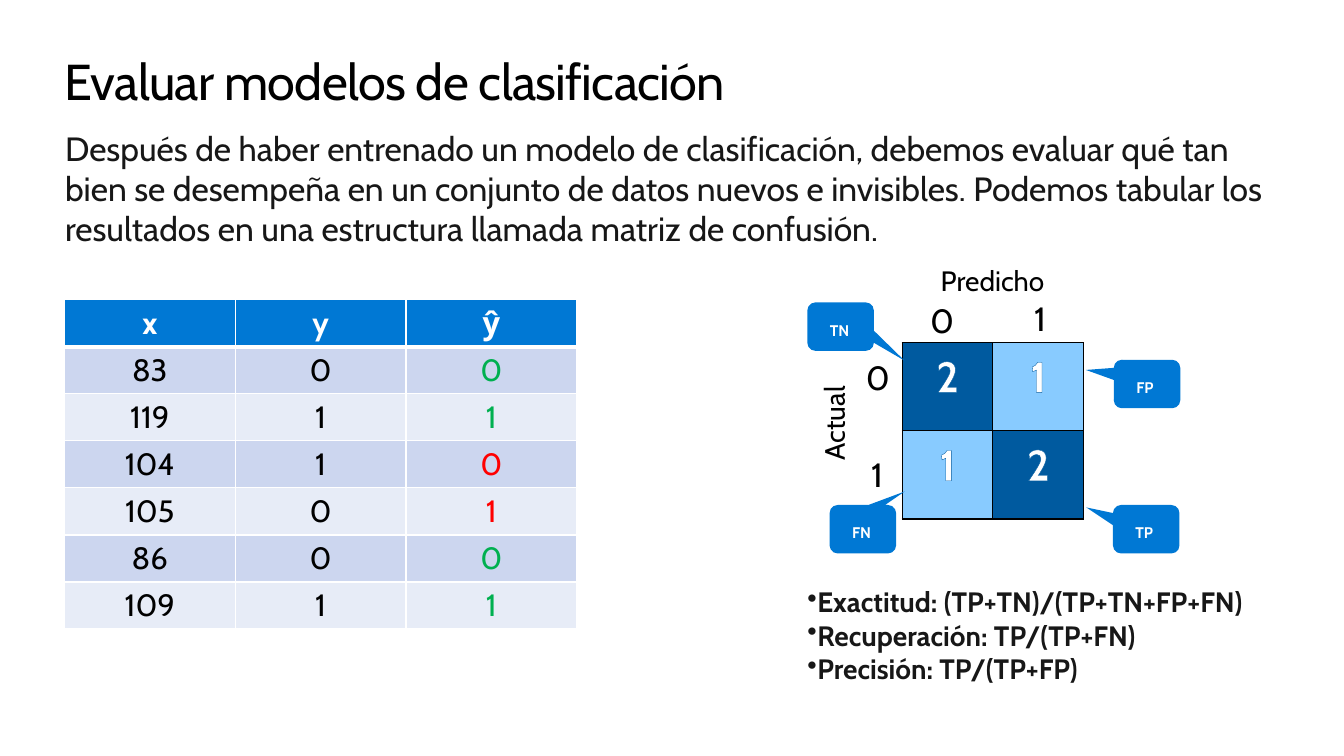
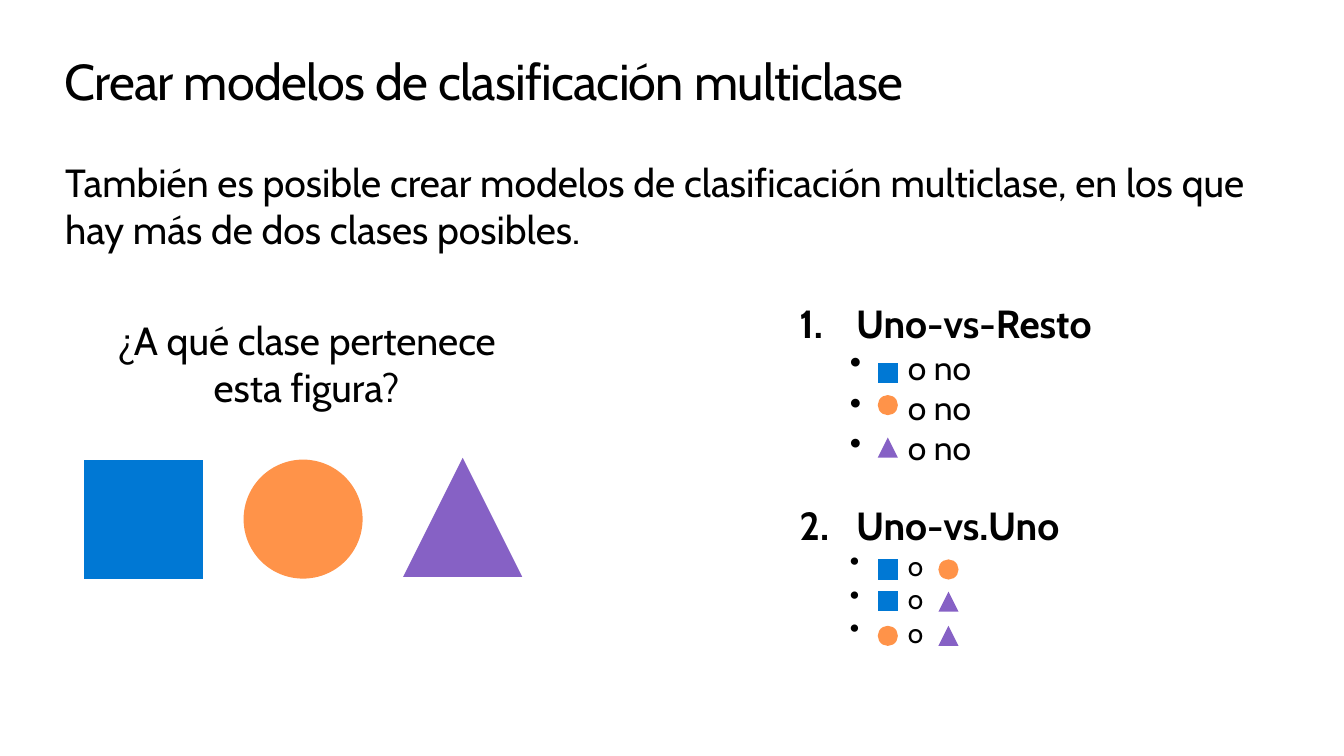
from lxml import etree
from pptx import Presentation
from pptx.dml.color import RGBColor
from pptx.enum.shapes import MSO_SHAPE
from pptx.enum.text import MSO_ANCHOR, PP_ALIGN
from pptx.oxml.ns import qn
from pptx.util import Pt

LEFT, CENTER = PP_ALIGN.LEFT, PP_ALIGN.CENTER
TOP, MIDDLE = MSO_ANCHOR.TOP, MSO_ANCHOR.MIDDLE
CALLOUT = MSO_SHAPE.ROUNDED_RECTANGULAR_CALLOUT
SQUARE = (MSO_SHAPE.FLOWCHART_PROCESS, "0078D4")
CIRCLE = (MSO_SHAPE.OVAL, "FF9349")
TRIANGLE = (MSO_SHAPE.ISOSCELES_TRIANGLE, "8661C5")

FONT = "Cabin"
BLACK, INK, WHITE = "000000", "171717", "FFFFFF"
BLUE, NAVY, SKY = "0078D4", "005A9F", "88CBFF"
BANDS = ("CCD6EF", "E7ECF7")
GREEN, RED = "00B050", "FF0000"
MARGIN, CONTENT_WIDTH = 46, 868


def write(frame, text, size, colour=BLACK, bold=False, align=LEFT,
          bullet=None, indent=0, hanging=0, before=0):
    """Add a paragraph; a text bullet is a sign, a numeric one is a number."""
    para = frame.paragraphs[0]
    if para.runs:
        para = frame.add_paragraph()
    para.alignment = align
    para.space_before = Pt(before)
    if bullet:
        props = para._p.get_or_add_pPr()
        props.set("marL", str(Pt(indent)))
        props.set("indent", str(-Pt(hanging)))
        if isinstance(bullet, int):
            etree.SubElement(props, qn("a:buAutoNum"), type="arabicPeriod", startAt=str(bullet))
        else:
            etree.SubElement(props, qn("a:buChar"), char=bullet)
    span = para.add_run()
    span.text = text
    span.font.name, span.font.size, span.font.bold = FONT, Pt(size), bold
    span.font.color.rgb = RGBColor.from_string(colour)
    return span


def add_box(page, left, top, width, height, kind=None, fill=None):
    """Add a text box, or a filled shape when a kind is given."""
    place = Pt(left), Pt(top), Pt(width), Pt(height)
    if kind is None:
        box = page.shapes.add_textbox(*place)
    else:
        box = page.shapes.add_shape(kind, *place)
        box.shadow.inherit = False
        box.fill.solid()
        box.fill.fore_color.rgb = RGBColor.from_string(fill)
        box.line.fill.background()
    frame = box.text_frame
    frame.word_wrap = True
    frame.vertical_anchor = TOP
    frame.margin_left = frame.margin_right = frame.margin_top = frame.margin_bottom = 0
    return box


deck = Presentation()
deck.slide_width, deck.slide_height = Pt(960), Pt(540)

# Both slides: title and introduction
pages = []
for title, intro, intro_top, intro_size, intro_colour in (
    ("Evaluar modelos de clasificación",
     "Después de haber entrenado un modelo de clasificación, debemos evaluar qué tan "
     "bien se desempeña en un conjunto de datos nuevos e invisibles. Podemos tabular los "
     "resultados en una estructura llamada matriz de confusión.", 91, 24, INK),
    ("Crear modelos de clasificación multiclase",
     "También es posible crear modelos de clasificación multiclase, en los que "
     "hay más de dos clases posibles.", 113, 28, BLACK),
):
    page = deck.slides.add_slide(deck.slide_layouts[6])
    pages.append(page)
    span = write(add_box(page, MARGIN, 36, CONTENT_WIDTH, 43).text_frame, title, 36)
    span.font._element.set("spc", "-50")
    box = add_box(page, MARGIN + 0.5, intro_top, CONTENT_WIDTH, 87)
    write(box.text_frame, intro, intro_size, intro_colour)
evaluation, multiclass = pages

# Results: features, labels and predictions; right ones green, wrong ones red
results = [[(name, WHITE, BLUE) for name in ("x", "y", "ŷ")]]
for index, (x, y, predicted) in enumerate(
        ((83, 0, 0), (119, 1, 1), (104, 1, 0), (105, 0, 1), (86, 0, 0), (109, 1, 1))):
    verdict = GREEN if y == predicted else RED
    results.append([(str(value), colour, BANDS[index % 2]) for value, colour in
                    ((x, BLACK), (y, BLACK), (predicted, verdict))])

# Confusion matrix: hits dark, misses light
matrix = [[("2", WHITE, NAVY), ("1", WHITE, SKY)],
          [("1", WHITE, SKY), ("2", WHITE, NAVY)]]

for rows, left, top, column_width, row_height, size, inset, border in (
    (results, MARGIN, 214, 122, 33.6, 22, (7.2, 3.6), WHITE),
    (matrix, 644.4, 244.8, 64.8, 63, 31, (8.6, 5.8), BLACK),
):
    table = evaluation.shapes.add_table(
        len(rows), len(rows[0]), Pt(left), Pt(top),
        Pt(column_width * len(rows[0])), Pt(row_height * len(rows))).table
    table.first_row = table.horz_banding = False
    for column in table.columns:
        column.width = Pt(column_width)
    for r, row in enumerate(rows):
        table.rows[r].height = Pt(row_height)
        for c, (text, colour, fill) in enumerate(row):
            cell = table.cell(r, c)
            cell.margin_left = cell.margin_right = Pt(inset[0])
            cell.margin_top = cell.margin_bottom = Pt(inset[1])
            cell.fill.solid()
            cell.fill.fore_color.rgb = RGBColor.from_string(fill)
            span = write(cell.text_frame, text, size, colour, colour == WHITE, CENTER)
            if rows is matrix:
                outline = etree.Element(qn("a:ln"), w=str(Pt(0.75)))
                solid = etree.SubElement(outline, qn("a:solidFill"))
                etree.SubElement(solid, qn("a:srgbClr"), val=NAVY)
                span.font._element.insert(0, outline)
            # Cell borders, heavier under the results header
            props = cell._tc.get_or_add_tcPr()
            for position, side in enumerate(("lnL", "lnR", "lnT", "lnB")):
                heavy = rows is results and (r, side) in ((0, "lnB"), (1, "lnT"))
                edge = etree.Element(qn("a:" + side), w=str(Pt(3 if heavy else 1)))
                solid = etree.SubElement(edge, qn("a:solidFill"))
                etree.SubElement(solid, qn("a:srgbClr"), val=border)
                props.insert(position, edge)

# Matrix axis labels
for text, left, top, width, height, size, rotation in (
    ("0", 642, 214, 62, 29, 24, 0),
    ("1", 712, 212.5, 62, 29, 24, 0),
    ("0", 596, 255, 62, 29, 24, 0),
    ("1", 595.5, 324, 62, 29, 24, 0),
    ("Predicho", 636.5, 188.5, 145, 24.5, 20, 0),
    ("Actual", 525.5, 290, 140.5, 24.5, 20, 270),
):
    box = add_box(evaluation, left, top, width, height)
    box.rotation = rotation
    write(box.text_frame, text, size, align=CENTER)

# Callouts naming the four outcomes
for text, left, top, tip_x, tip_y in (
    ("TN", 576.7, 216, 0.96, 0.7),
    ("TP", 795, 360.7, -0.9, -0.45),
    ("FN", 592.6, 360.7, 0.63, -0.78),
    ("FP", 795.6, 257, -0.92, -0.29),
):
    box = add_box(evaluation, left, top, 47.5, 34.6, CALLOUT, BLUE)
    box.adjustments[0], box.adjustments[1] = tip_x, tip_y
    frame = box.text_frame
    frame.margin_left = frame.margin_right = Pt(14.4)
    frame.margin_top = frame.margin_bottom = Pt(11.5)
    write(frame, text, 11, WHITE, True)

# Metrics
frame = add_box(evaluation, 576.7, 417.6, 366, 73).text_frame
for metric in ("Exactitud: (TP+TN)/(TP+TN+FP+FN)", "Recuperación: TP/(TP+FN)",
               "Precisión: TP/(TP+FP)"):
    write(frame, metric, 20, INK, True, bullet="•")

# Question
frame = add_box(multiclass, 45.4, 221.8, 326, 75).text_frame
frame.vertical_anchor = MIDDLE
frame.margin_left, frame.margin_right = Pt(28), Pt(7.2)
write(frame, "¿A qué clase pertenece esta figura?", 28, align=CENTER)

# The three classes
for index, (figure, top) in enumerate(((SQUARE, 328.3), (CIRCLE, 328.3), (TRIANGLE, 327))):
    add_box(multiclass, 60 + 114 * index, top, 85, 85, *figure)

# Strategies: numbered headings with three bullets each
frame = add_box(multiclass, 571, 214, 317.5, 280).text_frame
for number, (heading, option, size, before) in enumerate(
        (("Uno-vs-Resto", "o no", 24, 0), ("Uno-vs.Uno", "o", 20, 24)), 1):
    write(frame, heading, 28, bold=True, bullet=number, indent=40.5, hanging=40.5, before=before)
    for _ in range(3):
        write(frame, option, size, bullet="•", indent=77.5, hanging=41.5)

# Small figures beside the bullets
FIRST, SECOND = 627, 670.3
for figure, left, top in (
    (SQUARE, FIRST, 259.2), (CIRCLE, FIRST, 282.2), (TRIANGLE, FIRST, 312.5),
    (SQUARE, FIRST, 399.6), (CIRCLE, SECOND, 399.6),
    (SQUARE, FIRST, 422), (TRIANGLE, SECOND, 422.6),
    (CIRCLE, FIRST, 447), (TRIANGLE, SECOND, 447),
):
    add_box(multiclass, left, top, 14.4, 14.4, *figure)

deck.save("out.pptx")
